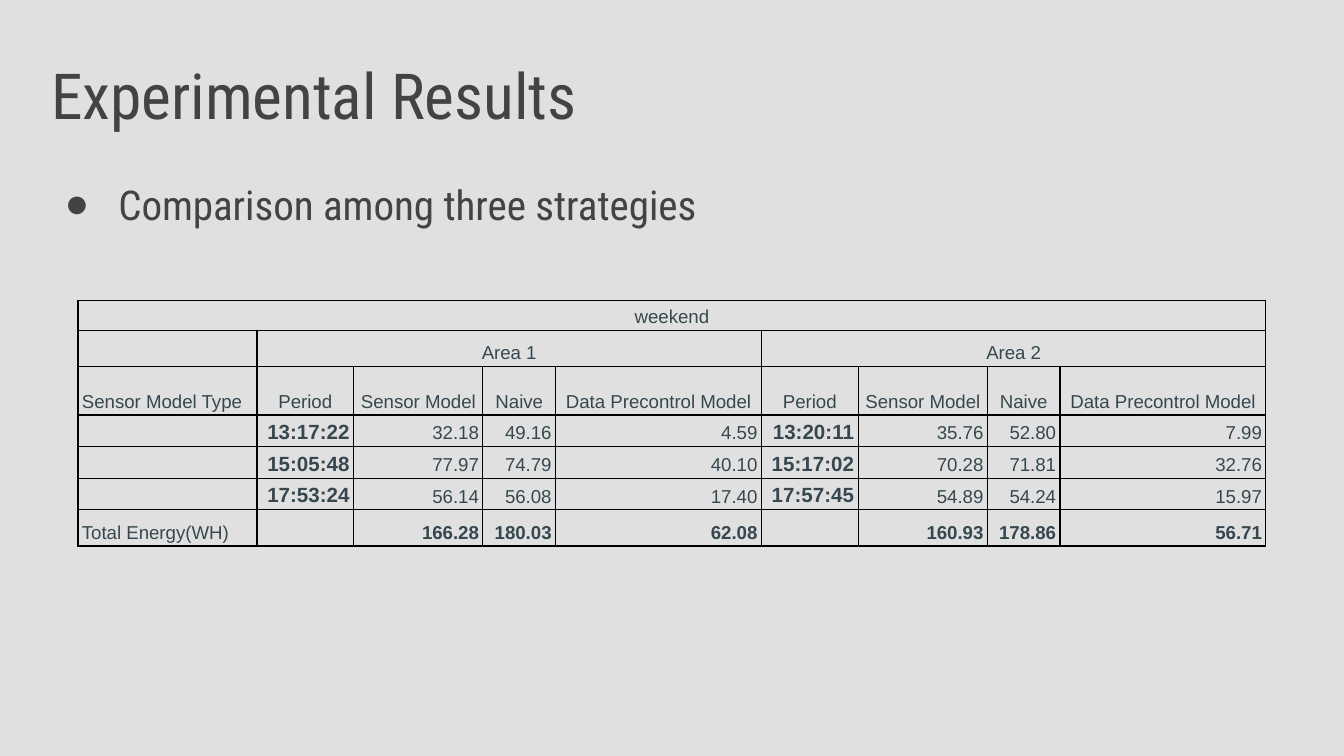
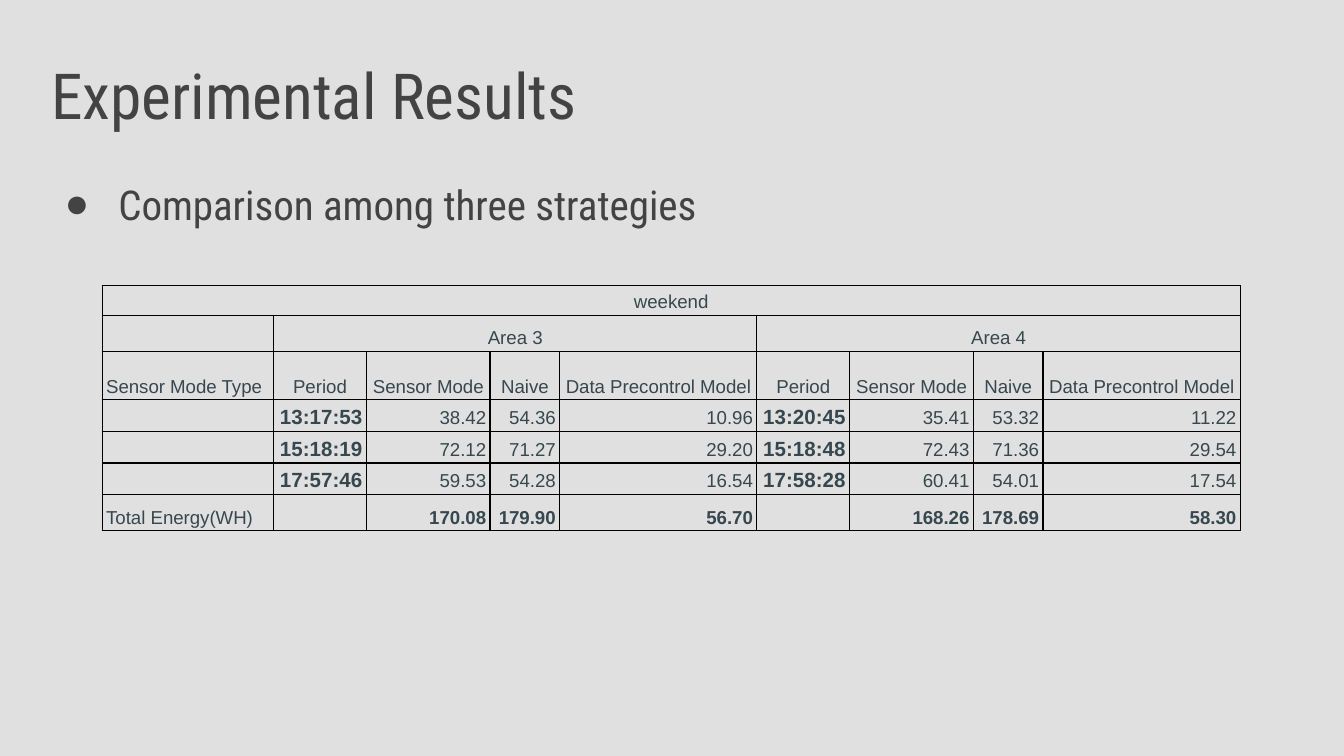
from lxml import etree
from pptx import Presentation, util as u
from pptx.dml.color import RGBColor
from pptx.enum import text as t
from pptx.oxml import ns

PAPER = RGBColor(0xE0, 0xE0, 0xE0)
INK = RGBColor(0x43, 0x43, 0x43)
SLATE = RGBColor(0x37, 0x47, 0x4F)
BLACK = RGBColor(0, 0, 0)
HEAD = "Roboto Condensed"
BODY = "Arial"
WIDE = u.Inches(10)
HIGH = WIDE * 9 // 16
COLS = ROWS = 100
LEFT, RIGHT, MID = t.PP_ALIGN.LEFT, t.PP_ALIGN.RIGHT, t.PP_ALIGN.CENTER

AREA = [7.2, 9.6, 5.4, 15.3]
SPANS = [13.3] + AREA * 2
TIERS = [3.9, 4.8, 6.4, 4.1, 4.1, 4.1, 4.8]


def put(thing, **form):
    for name, value in form.items():
        setattr(thing, name, value)


def sub(node, tag, **form):
    return etree.SubElement(node, ns.qn(tag), form)


class Deck:
    def __init__(self):
        self.prs = Presentation()
        put(self.prs, slide_width=WIDE, slide_height=HIGH)
        fill = self.prs.slide_master.background.fill
        fill.solid()
        fill.fore_color.rgb = PAPER
        self.slide = None

    def col(self, count):
        return round(WIDE * count / COLS)

    def row(self, count):
        return round(HIGH * count / ROWS)

    def page(self):
        self.slide = self.prs.slides.add_slide(self.prs.slide_layouts[1])

    def style(self, para, size, face, tint, bold=False, **form):
        put(para, space_before=u.Pt(0), **form)
        for run in para.runs:
            put(run.font, size=u.Pt(size), name=face, bold=bold)
            run.font.color.rgb = tint

    def block(self, shape, words, size, top, high):
        put(shape, left=self.col(2.8), top=self.row(top),
            width=self.col(92.5), height=self.row(high))
        frame = shape.text_frame
        edge = u.Inches(0.1)
        put(frame, text=words, word_wrap=True, auto_size=t.MSO_AUTO_SIZE.NONE,
            vertical_anchor=t.MSO_ANCHOR.TOP, margin_left=edge,
            margin_right=edge, margin_top=edge, margin_bottom=edge)
        para = frame.paragraphs[0]
        self.style(para, size, HEAD, INK, alignment=LEFT)
        return para

    def title(self, words):
        self.block(self.slide.shapes.title, words, 34, 5.7, 16.2)

    def point(self, words):
        para = self.block(self.slide.placeholders[1], words, 22, 21.9, 69.5)
        props = para._p.get_or_add_pPr()
        put(para, line_spacing=1.0)
        props.set("marL", str(u.Inches(0.5)))
        props.set("indent", str(-u.Inches(0.4)))
        tint = sub(props, "a:buClr")
        sub(tint, "a:srgbClr", val=str(INK))
        sub(props, "a:buChar", char="●")

    def rule(self, cell):
        props = cell._tc.get_or_add_tcPr()
        for side in ("a:lnL", "a:lnR", "a:lnT", "a:lnB"):
            line = sub(props, side, w=str(u.Pt(0.75)))
            sub(sub(line, "a:solidFill"), "a:srgbClr", val=str(BLACK))
        cell.fill.background()

    def cell(self, cell, words, side, size, bold):
        put(cell, text=words, vertical_anchor=t.MSO_ANCHOR.BOTTOM,
            margin_left=u.Inches(0.03), margin_right=u.Inches(0.03),
            margin_top=u.Inches(0.02), margin_bottom=u.Inches(0.02))
        para = cell.text_frame.paragraphs[0]
        self.style(para, size, BODY, SLATE, bold, alignment=side, line_spacing=1.15)
        if not words:
            para._p.get_or_add_endParaRPr().set("sz", str(size * 100))
        self.rule(cell)

    def table(self, left, top, wide, rows):
        scale = wide / sum(SPANS)
        frame = self.slide.shapes.add_table(
            len(TIERS), len(SPANS), self.col(left), self.row(top),
            self.col(wide), self.row(sum(TIERS)))
        grid = frame.table
        put(grid, first_row=False, horz_banding=False)
        for track, span in zip(grid.columns, SPANS):
            track.width = self.col(span * scale)
        for track, tier in zip(grid.rows, TIERS):
            track.height = self.row(tier)
        last = len(rows) - 1
        for r, line in enumerate(rows):
            for c, words in enumerate(line):
                side = MID if r < 2 or (r == 2 and c) else RIGHT if c else LEFT
                time = ":" in words
                bold = time or (r == last and c > 0)
                self.cell(grid.cell(r, c), words, side, 11 if time else 10, bold)
        for r, start, end in ((0, 0, 8), (1, 1, 4), (1, 5, 8)):
            grid.cell(r, start).merge(grid.cell(r, end))


def lines(areas, model, data):
    heads = ["Period", model, "Naive", "Data Precontrol Model"]
    gap = [""] * 3
    top = [["weekend"] + [""] * 8,
           ["", areas[0], *gap, areas[1], *gap],
           [model + " Type"] + heads * 2]
    body = [[""] + line.split() for line in data[:-1]]
    sums = data[-1].split()
    return top + body + [["Total Energy(WH)", "", *sums[:3], "", *sums[3:]]]


PAGES = [
    (5.8, 39.8, 88.4, ("Area 1", "Area 2"), "Sensor Model", [
        "13:17:22 32.18 49.16 4.59 13:20:11 35.76 52.80 7.99",
        "15:05:48 77.97 74.79 40.10 15:17:02 70.28 71.81 32.76",
        "17:53:24 56.14 56.08 17.40 17:57:45 54.89 54.24 15.97",
        "166.28 180.03 62.08 160.93 178.86 56.71"]),
    (7.6, 37.8, 84.7, ("Area 3", "Area 4"), "Sensor Mode", [
        "13:17:53 38.42 54.36 10.96 13:20:45 35.41 53.32 11.22",
        "15:18:19 72.12 71.27 29.20 15:18:48 72.43 71.36 29.54",
        "17:57:46 59.53 54.28 16.54 17:58:28 60.41 54.01 17.54",
        "170.08 179.90 56.70 168.26 178.69 58.30"]),
]


def main():
    deck = Deck()
    for left, top, wide, areas, model, data in PAGES:
        deck.page()
        deck.title("Experimental Results")
        deck.point("Comparison among three strategies")
        deck.table(left, top, wide, lines(areas, model, data))
    deck.prs.save("out.pptx")


if __name__ == "__main__":
    main()
